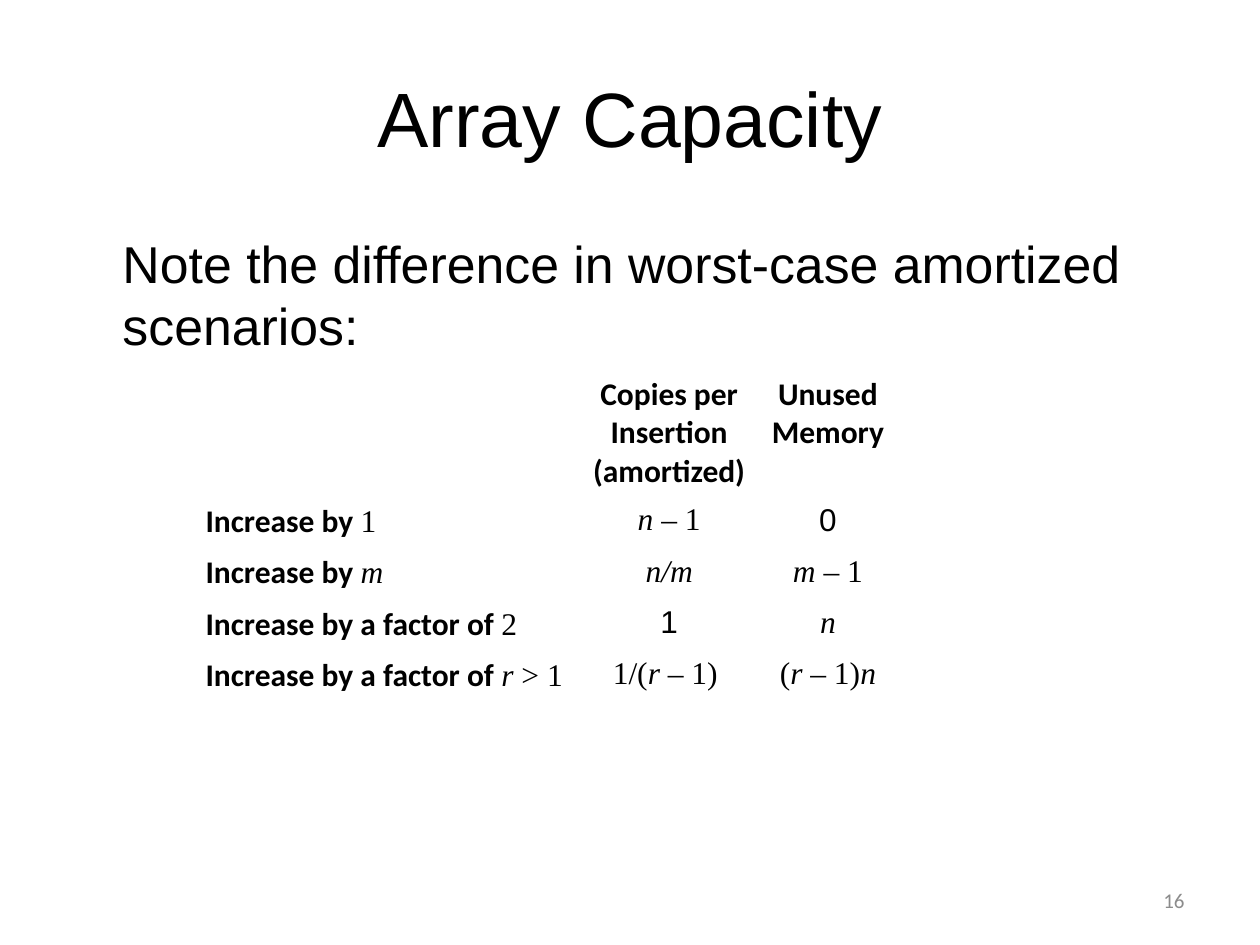
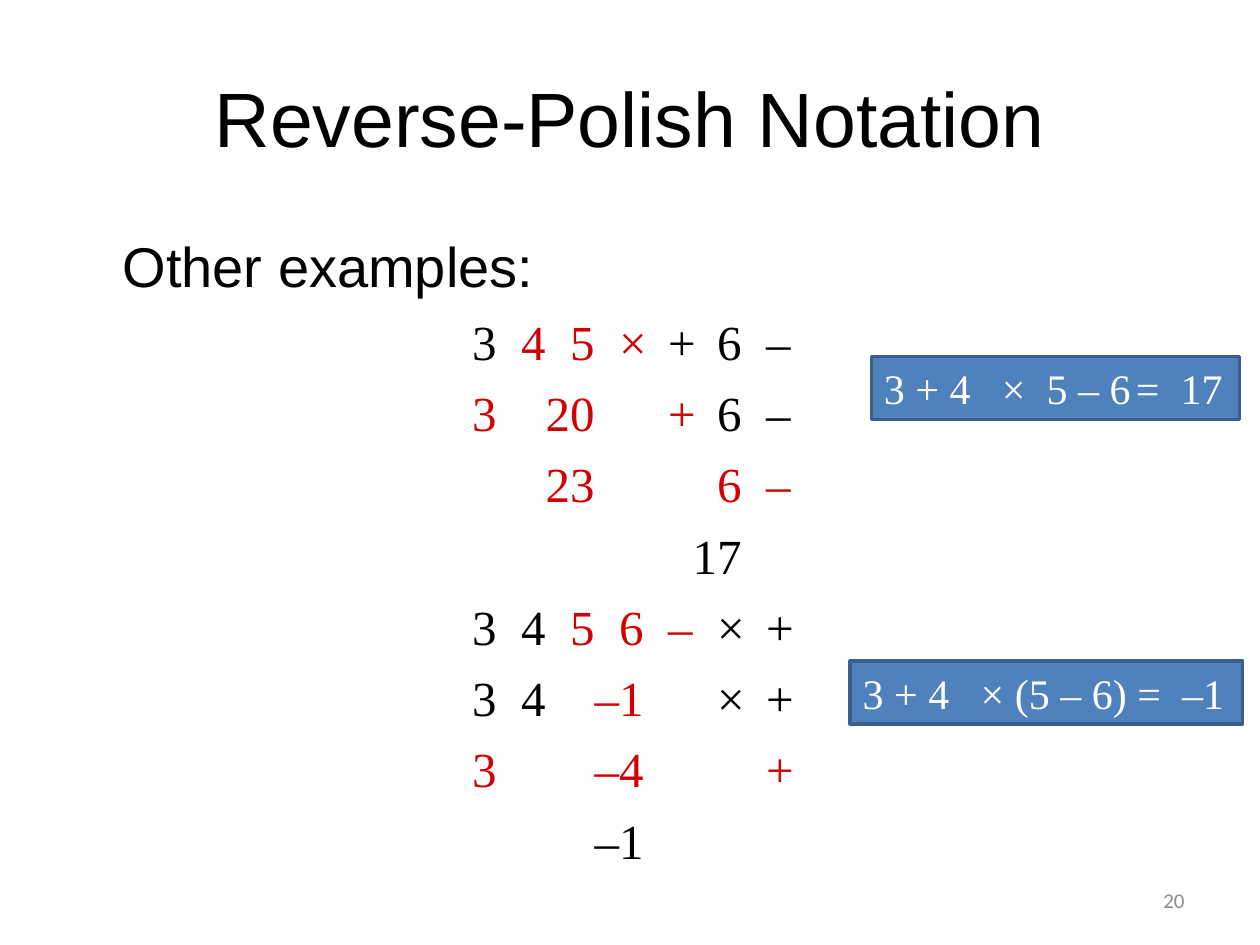
from dataclasses import dataclass

from lxml.etree import SubElement
from pptx import Presentation
from pptx.dml.color import RGBColor
from pptx.enum.shapes import MSO_SHAPE as Preset
from pptx.enum.text import MSO_ANCHOR as Anchor, PP_ALIGN as Align
from pptx.oxml.ns import qn
from pptx.util import Cm, Pt


@dataclass(frozen=True)
class Theme:
    ink: str = "000000"
    accent: str = "D20000"
    muted: str = "8C8C8C"
    paper: str = "FFFFFF"
    panel: str = "4F81BD"
    edge: str = "3A5F8C"
    sans: str = "Arial"
    label: str = "Calibri"
    serif: str = "Times New Roman"
    title: float = 44
    lead: float = 32
    lead_small: float = 29.6
    steps: float = 28
    callout: float = 24
    cell: float = 18
    footer: float = 12


THEME = Theme()

CELL_STYLES = {
    "label": dict(font=THEME.label, bold=True),
    "digit": dict(font=THEME.sans),
    "number": dict(font=THEME.serif),
    "variable": dict(font=THEME.serif, italic=True),
}

CAPACITY = {
    "title": "Array Capacity",
    "lead": "Note the difference in worst-case amortized scenarios:",
    "number": "16",
}
CAPACITY_HEADER = [[], ["Copies per", "Insertion", "(amortized)"], ["Unused Memory"]]
CAPACITY_ROWS = [
    [
        [("label", "Increase by "), ("number", "1")],
        [("variable", "n"), ("number", " – 1")],
        [("digit", "0")],
    ],
    [
        [("label", "Increase by "), ("variable", "m")],
        [("variable", "n/m")],
        [("variable", "m"), ("number", " – 1")],
    ],
    [
        [("label", "Increase by a factor of "), ("number", "2")],
        [("digit", "1")],
        [("variable", "n")],
    ],
    [
        [("label", "Increase by a factor of "), ("variable", "r"), ("number", " > 1")],
        [("number", "1/("), ("variable", "r"), ("number", " – 1) ")],
        [("number", "("), ("variable", "r"), ("number", " – 1)"), ("variable", "n")],
    ],
]
COLUMN_WIDTHS = [7.8, 3.6, 2.8]
HEADER_HEIGHT, ROW_HEIGHT = 2.57, 1.03

NOTATION = {"title": "Reverse-Polish Notation", "lead": "Other examples:", "number": "20"}
EVALUATION_STEPS = [
    [(THEME.ink, {0: "3"}), (THEME.accent, {2: "4", 4: "5", 6: "×"}),
     (THEME.ink, {8: "+", 10: "6", 12: "–"})],
    [(THEME.accent, {0: "3", 3: "20", 8: "+"}), (THEME.ink, {10: "6", 12: "–"})],
    [(THEME.accent, {3: "23", 10: "6", 12: "–"})],
    [(THEME.ink, {9: "17"})],
    [(THEME.ink, {0: "3", 2: "4"}), (THEME.accent, {4: "5", 6: "6", 8: "–"}),
     (THEME.ink, {10: "×", 12: "+"})],
    [(THEME.ink, {0: "3", 2: "4"}), (THEME.accent, {5: "–1"}),
     (THEME.ink, {10: "×", 12: "+"})],
    [(THEME.accent, {0: "3", 5: "–4", 12: "+"})],
    [(THEME.ink, {5: "–1"})],
]
STEPS_LEFT = 8
STEPS_PITCH = THEME.steps / 2 * 2.54 / 72
STEPS_GAP = 0.25

CALLOUTS = [
    ((17.57, 7.19, 7.42, 1.27), "3 + 4\t×\t5 – 6\t=\t17", [2.38, 3.28, 5.08, 5.98]),
    ((17.14, 13.33, 7.91, 1.27), "3 + 4\t× (5 – 6) =\t–1", [2.38, 6.44]),
]


def add_span(para, text, size, font=THEME.sans, color=THEME.ink, bold=False, italic=False):
    span = para.add_run()
    span.text = text
    span.font.size = Pt(size)
    span.font.name = font
    span.font.bold = bold
    span.font.italic = italic
    span.font.color.rgb = RGBColor.from_string(color)


def set_tabs(para, stops):
    tabs = SubElement(para._p.get_or_add_pPr(), qn("a:tabLst"))
    for stop in stops:
        SubElement(tabs, qn("a:tab"), pos=str(Cm(stop)), algn="l")


def add_box(page, place, anchor=Anchor.TOP):
    box = page.shapes.add_textbox(*map(Cm, place))
    box.text_frame.word_wrap = True
    box.text_frame.vertical_anchor = anchor
    return box.text_frame


def add_page(deck, content, lead_size):
    page = deck.slides.add_slide(deck.slide_layouts[6])
    title = add_box(page, (1.27, 0.76, 22.86, 3.18), Anchor.MIDDLE).paragraphs[0]
    title.alignment = Align.CENTER
    add_span(title, content["title"], THEME.title)

    body = add_box(page, (1.27, 4.55, 22.86, 12.5))
    lead = body.paragraphs[0]
    lead._p.get_or_add_pPr().set("marL", str(Cm(0.95)))
    add_span(lead, content["lead"], lead_size)

    footer = add_box(page, (18.2, 17.65, 5.93, 1.01), Anchor.MIDDLE).paragraphs[0]
    footer.alignment = Align.RIGHT
    add_span(footer, content["number"], THEME.footer, THEME.label, THEME.muted)
    return page, body


def fill_cell(cell, lines, alignment):
    cell.fill.background()
    frame = cell.text_frame
    frame.paragraphs[0].font.size = Pt(THEME.cell)
    for index, line in enumerate(lines):
        para = frame.add_paragraph() if index else frame.paragraphs[0]
        para.alignment = alignment
        for style, text in line:
            add_span(para, text, THEME.cell, **CELL_STYLES[style])


def add_capacity_table(page):
    header = [[[("label", line)] for line in lines] for lines in CAPACITY_HEADER]
    grid = [header] + [[[line] for line in row] for row in CAPACITY_ROWS]
    heights = [HEADER_HEIGHT] + [ROW_HEIGHT] * len(CAPACITY_ROWS)
    size = (sum(COLUMN_WIDTHS), sum(heights))
    table = page.shapes.add_table(
        len(grid), len(COLUMN_WIDTHS), Cm(3.89), Cm(7.44), *map(Cm, size)
    ).table
    table.first_row = table.horz_banding = False
    for column, width in zip(table.columns, COLUMN_WIDTHS):
        column.width = Cm(width)
    for row, height, contents in zip(table.rows, heights, grid):
        row.height = Cm(height)
        for index, lines in enumerate(contents):
            fill_cell(row.cells[index], lines, Align.CENTER if index else Align.LEFT)


def add_evaluation(body):
    for groups in EVALUATION_STEPS:
        para = body.add_paragraph()
        para.space_before = Cm(STEPS_GAP)
        set_tabs(para, [STEPS_LEFT + STEPS_PITCH * slot for _, group in groups for slot in group])
        for color, group in groups:
            text = "".join("\t" + token for token in group.values())
            add_span(para, text, THEME.steps, THEME.serif, color)


def add_callout(page, place, text, stops):
    panel = page.shapes.add_shape(Preset.RECTANGLE, *map(Cm, place))
    panel.shadow.inherit = False
    panel.fill.solid()
    panel.fill.fore_color.rgb = RGBColor.from_string(THEME.panel)
    panel.line.color.rgb = RGBColor.from_string(THEME.edge)
    panel.line.width = Pt(2)
    panel.text_frame.word_wrap = True
    panel.text_frame.vertical_anchor = Anchor.TOP
    para = panel.text_frame.paragraphs[0]
    para.alignment = Align.LEFT
    set_tabs(para, stops)
    add_span(para, text, THEME.callout, THEME.serif, THEME.paper)


def main():
    deck = Presentation()
    deck.slide_width, deck.slide_height = Cm(25.4), Cm(19.05)

    page, _ = add_page(deck, CAPACITY, THEME.lead_small)
    add_capacity_table(page)

    page, body = add_page(deck, NOTATION, THEME.lead)
    add_evaluation(body)
    for callout in CALLOUTS:
        add_callout(page, *callout)

    deck.save("out.pptx")


if __name__ == "__main__":
    main()
